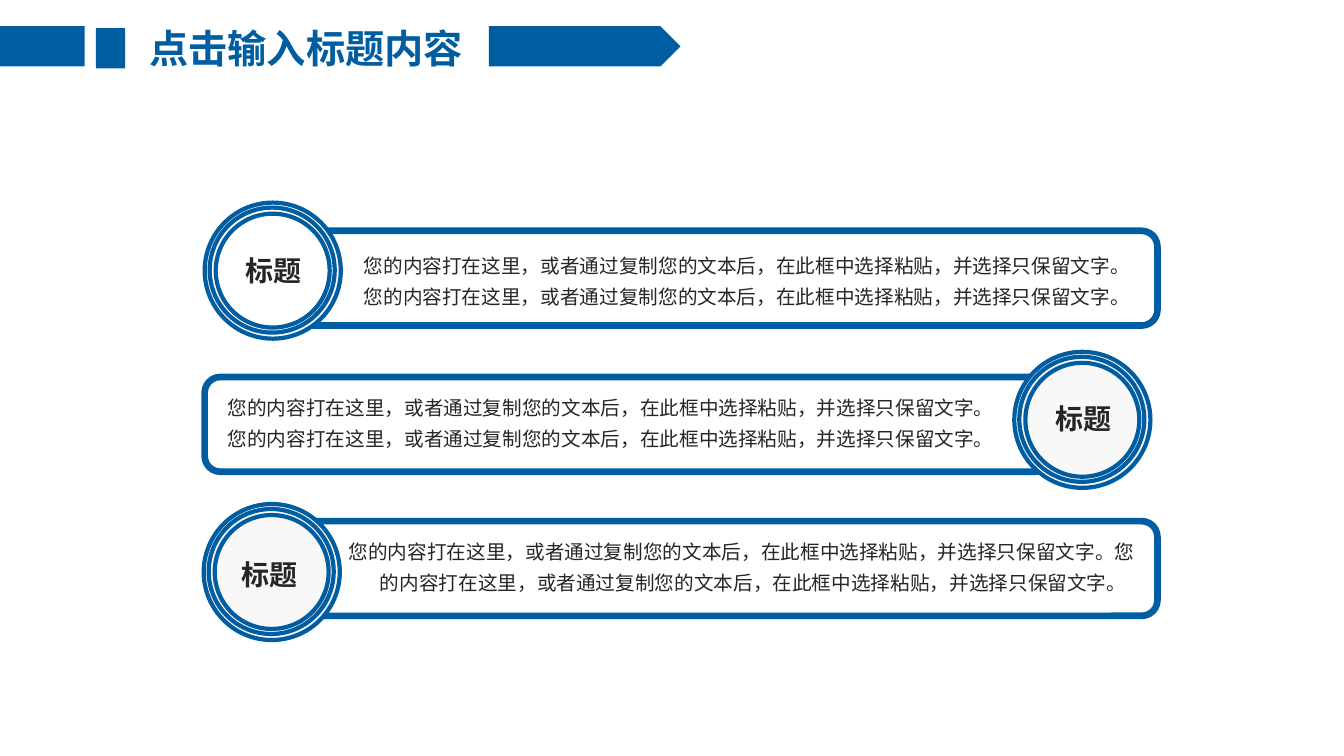
from dataclasses import dataclass

from lxml.etree import SubElement
from pptx import Presentation
from pptx.dml.color import RGBColor
from pptx.enum.shapes import MSO_SHAPE as Preset
from pptx.enum.text import PP_ALIGN as Align
from pptx.oxml.ns import qn
from pptx.util import Pt

PX = 9144  # EMU per px, 100 px to the inch


@dataclass(frozen=True)
class Theme:
    blue: RGBColor = RGBColor(0x00, 0x5D, 0xA2)
    ink: RGBColor = RGBColor(0x26, 0x26, 0x26)
    white: RGBColor = RGBColor(0xFF, 0xFF, 0xFF)
    pale: RGBColor = RGBColor(0xF8, 0xF8, 0xF8)
    font: str = "Noto Sans CJK SC"
    heading: int = 28
    label: int = 20
    body: int = 14
    frame_line: float = 4.75
    ring_line: float = 3


theme = Theme()
presentation = Presentation()
presentation.slide_width = 1333 * PX
presentation.slide_height = 750 * PX
slide = presentation.slides.add_slide(presentation.slide_layouts[6])


def add_preset(preset, box, fill=None, line_width=None):
    """Add a flat shape; without a fill or line width that part is left clear."""
    shape = slide.shapes.add_shape(preset, *(length * PX for length in box))
    shape.shadow.inherit = False
    if fill is None:
        shape.fill.background()
    else:
        shape.fill.solid()
        shape.fill.fore_color.rgb = fill
    if line_width is None:
        shape.line.fill.background()
    else:
        shape.line.color.rgb = theme.blue
        shape.line.width = Pt(line_width)


def add_text(text, box, size, color, bold=False, align=Align.LEFT):
    text_box = slide.shapes.add_textbox(*(length * PX for length in box))
    text_box.text_frame.word_wrap = True
    paragraph = text_box.text_frame.paragraphs[0]
    paragraph.text = text
    paragraph.alignment = align
    font = paragraph.runs[0].font
    font.name, font.size, font.bold = theme.font, Pt(size), bold
    font.color.rgb = color
    properties = paragraph.runs[0]._r.get_or_add_rPr()
    SubElement(properties, qn("a:ea"), typeface=theme.font)
    return paragraph


# Frames
for left, top, width in [(296, 517, 852), (203, 374, 840), (296, 229, 852)]:
    add_preset(Preset.ROUNDED_RECTANGLE, (left, top, width, 94),
               line_width=theme.frame_line)

# Medallions of three concentric rings
for left, top, middle_fill in [(203, 201, theme.white), (1006, 349, None), (202, 500, None)]:
    rings = [(0, 135, theme.pale), (5, 124, middle_fill), (11, 113, None)]
    for inset, diameter, fill in rings:
        add_preset(Preset.OVAL, (left + inset, top + inset, diameter, diameter),
                   fill, theme.ring_line)

# Medallion labels
for box, align in [
    ((205, 247, 133, 44), Align.CENTER),
    ((1037, 393, 109, 44), Align.LEFT),
    ((230, 548, 125, 44), Align.LEFT),
]:
    add_text("标题", box, theme.label, theme.ink, True, align)

# Body text
sentence = "您的内容打在这里，或者通过复制您的文本后，在此框中选择粘贴，并选择只保留文字。"
for box, hanging in [
    ((351, 240, 781, 71), 0),
    ((216, 381, 784, 98), 0),
    ((336, 524, 811, 71), 31),
]:
    paragraph = add_text(sentence * 2, box, theme.body, theme.ink)
    paragraph.line_spacing = 1.3
    if hanging:
        properties = paragraph._p.get_or_add_pPr()
        properties.set("marL", str(hanging * PX))
        properties.set("indent", str(-hanging * PX))

# Heading band
add_text("点击输入标题内容", (124, 19, 359, 57), theme.heading, theme.blue, True, Align.CENTER)
for preset, box in [
    (Preset.PENTAGON, (485, 26, 190, 40)),
    (Preset.RECTANGLE, (0, 26, 84, 40)),
    (Preset.RECTANGLE, (95, 28, 29, 40)),
]:
    add_preset(preset, box, theme.blue)

presentation.save("out.pptx")
